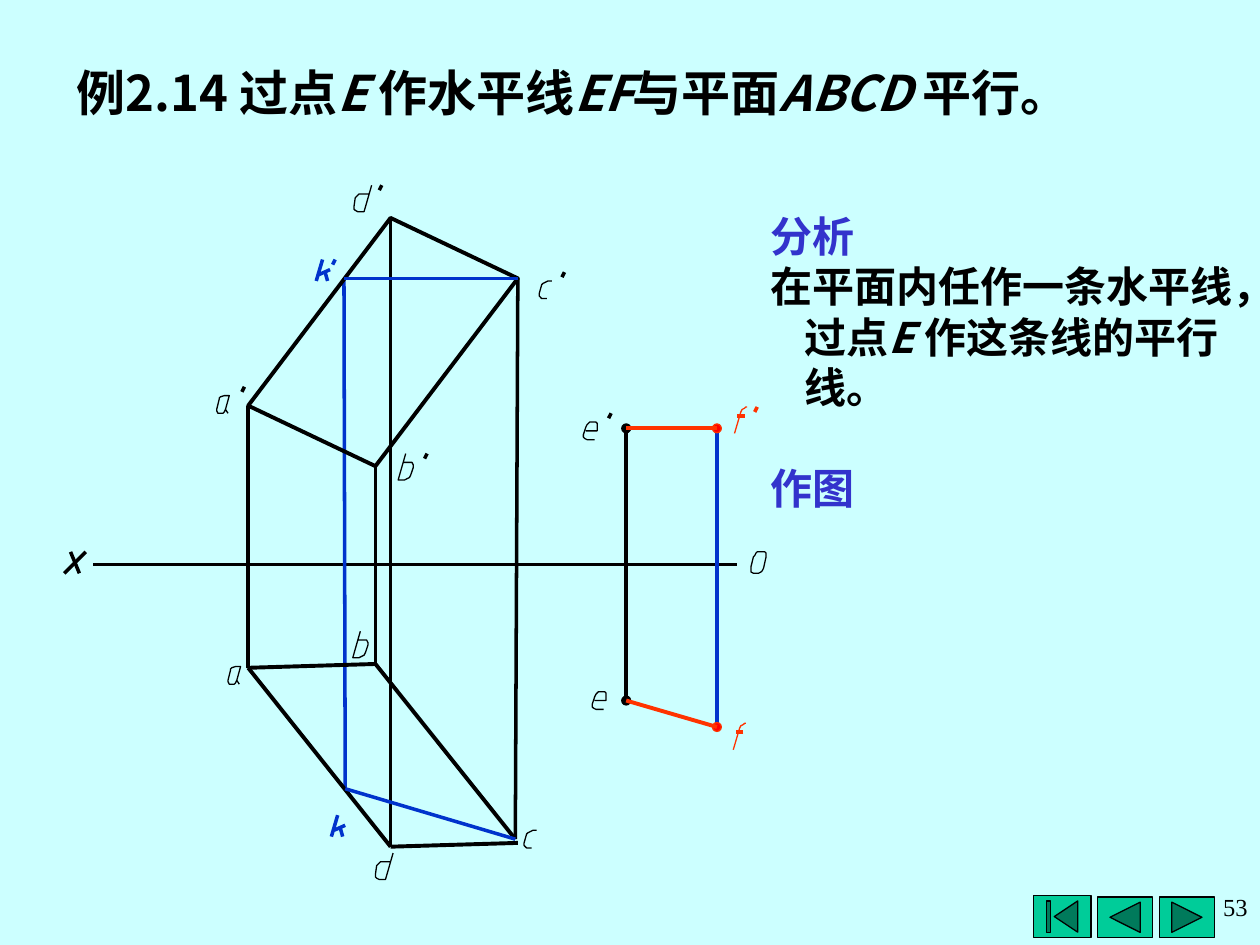
"""Build the descriptive-geometry slide on a line parallel to a plane."""
from dataclasses import dataclass

from lxml.etree import SubElement
from pptx import Presentation
from pptx.dml.color import RGBColor
from pptx.enum.shapes import MSO_CONNECTOR, MSO_SHAPE
from pptx.enum.text import MSO_ANCHOR, MSO_AUTO_SIZE, PP_ALIGN
from pptx.oxml.ns import qn
from pptx.util import Inches, Pt


@dataclass(frozen=True)
class Theme:
    background: str = "CCFFFF"
    ink: str = "000000"
    heading: str = "3333CC"
    helper_line: str = "0033CC"
    answer: str = "FF3300"
    answer_dot: str = "FF0000"
    button: str = "00CC99"
    font: str = "Noto Sans CJK SC"
    number_font: str = "Times New Roman"
    title_size: float = 28
    body_size: float = 24
    number_size: float = 14
    leading: float = 1.2
    thin: float = 0
    thick: float = 2.25
    button_line: float = 0.75


theme = Theme()
COLUMNS, ROWS = 1000, 750
deck = Presentation()
deck.slide_width, deck.slide_height = Inches(10), Inches(7.5)
GRID = deck.slide_width // COLUMNS
page = deck.slides.add_slide(deck.slide_layouts[5])
page.background.fill.solid()
page.background.fill.fore_color.rgb = RGBColor.from_string(theme.background)


def write(text, para, size=theme.body_size, color=theme.ink, font=theme.font,
          bold=True, margin=0, indent=0, before=0, align=PP_ALIGN.LEFT):
    """Fill a paragraph; parts between asterisks are italic."""
    properties = para._p.get_or_add_pPr()
    properties.set("marL", str(margin * GRID))
    properties.set("indent", str(indent * GRID))
    para.alignment = align
    para.line_spacing = Pt(round(size * theme.leading, 1))
    para.space_before = Pt(before)
    for index, part in enumerate(text.split("*")):
        span = para.add_run()
        span.text = part
        span.font.size, span.font.bold, span.font.italic = Pt(size), bold, index % 2 == 1
        span.font.color.rgb = RGBColor.from_string(color)
        span.font.name = font
        SubElement(span._r.get_or_add_rPr(), qn("a:ea")).set("typeface", font)


def stroke(points, color=theme.ink, width=theme.thin, left=0, top=0):
    """Draw a straight line through two points or an open or closed outline through more."""
    points = [(left + x, top + y) for x, y in points]
    if len(points) == 2:
        ends = [value * GRID for point in points for value in point]
        line = page.shapes.add_connector(MSO_CONNECTOR.STRAIGHT, *ends)
    else:
        builder = page.shapes.build_freeform(*points[0], scale=GRID)
        builder.add_line_segments(points[1:], close=points[0] == points[-1])
        line = builder.convert_to_shape()
        line.fill.background()
        line.shadow.inherit = False
    line.line.color.rgb = RGBColor.from_string(color)
    line.line.width = Pt(width)
    if len(points) == 2:
        SubElement(line._element.spPr, qn("a:effectLst"))


buttons = [
    (MSO_SHAPE.ACTION_BUTTON_BEGINNING, 820, 711, 46, 33),
    (MSO_SHAPE.ACTION_BUTTON_BACK_OR_PREVIOUS, 871, 712, 44, 32),
    (MSO_SHAPE.ACTION_BUTTON_FORWARD_OR_NEXT, 920, 712, 44, 32),
]
for kind, *place in buttons:
    button = page.shapes.add_shape(kind, *[value * GRID for value in place])
    button.shadow.inherit = False
    button.fill.solid()
    button.fill.fore_color.rgb = RGBColor.from_string(theme.button)
    button.line.color.rgb = RGBColor.from_string(theme.ink)
    button.line.width = Pt(theme.button_line)

title = page.shapes.title
title.left, title.top, title.width, title.height = [n * GRID for n in (51, 21, 835, 104)]
title.text_frame.word_wrap = True
title.text_frame.auto_size = MSO_AUTO_SIZE.NONE
title.text_frame.vertical_anchor = MSO_ANCHOR.MIDDLE
write("例2.14 过点*E *作水平线*EF*与平面*ABCD *平行。", title.text_frame.paragraphs[0],
      size=theme.title_size, margin=50, indent=-50)

box = page.shapes.add_textbox(*[n * GRID for n in (579, 162, 421, 250)])
box.text_frame.word_wrap = True
notes = [
    ("分析", theme.heading, 0),
    ("在平面内任作一条水平线，过点*E *作这条线的平行线。", theme.ink, 0),
    ("作图", theme.heading, theme.body_size * theme.leading),
]
for index, (text, color, before) in enumerate(notes):
    para = box.text_frame.add_paragraph() if index else box.text_frame.paragraphs[0]
    write(text, para, color=color, margin=50, indent=-27, before=before)

front = {"a": (197, 322), "b": (298, 370), "c": (411, 221), "d": (310, 173),
         "e": (497, 340), "f": (569, 340), "k": (273, 221)}
plan = {"a": (197, 530), "b": (298, 527), "c": (409, 666), "d": (310, 672),
        "e": (497, 556), "f": (569, 577), "k": (274, 626)}
stroke([(74, 448), (585, 448)])
for name in front:
    color = theme.helper_line if name in "fk" else theme.ink
    stroke([front[name], plan[name]], color)
stroke([front[name] for name in "abcda"], width=theme.thick)
for start, end in ("ab", "bc", "ad"):
    stroke([plan[start], plan[end]], width=theme.thick)
stroke([plan["d"], (411, 669)], width=theme.thick)
for view in (front, plan):
    stroke([view["k"], view["c"]], theme.helper_line)

DOT = 7
for view in (front, plan):
    for name, fill, outline in (("e", theme.ink, theme.ink), ("f", theme.answer_dot, theme.answer)):
        x, y = view[name]
        dot = page.shapes.add_shape(MSO_SHAPE.OVAL, int((x - DOT / 2) * GRID),
                                    int((y - DOT / 2) * GRID), DOT * GRID, DOT * GRID)
        dot.shadow.inherit = False
        dot.fill.solid()
        dot.fill.fore_color.rgb = RGBColor.from_string(fill)
        dot.line.color.rgb = RGBColor.from_string(outline)
        dot.line.width = Pt(theme.thin)
    stroke([view["e"], view["f"]], theme.answer, theme.thick)

letters = {
    "a": [[(9, 14), (7, 11), (10, 0), (6, 0), (3, 1), (2, 2), (2, 3), (0, 11), (0, 12),
           (1, 14), (3, 14), (5, 14), (6, 13), (7, 11)]],
    "b": [[(6, 0), (0, 21), (5, 21), (7, 20), (9, 19), (10, 17), (12, 11), (12, 9),
           (11, 7), (10, 7), (4, 7)]],
    "c": [[(10, 0), (7, 0), (5, 1), (3, 2), (2, 3), (0, 10), (0, 12), (1, 13), (2, 14), (6, 14)]],
    "d": [[(14, 0), (8, 21), (3, 21), (1, 20), (0, 19), (0, 17), (1, 10), (3, 8),
           (4, 7), (5, 7), (12, 7)]],
    "e": [[(9, 14), (3, 14), (1, 13), (0, 12), (0, 10), (2, 4), (3, 2), (5, 0), (9, 0),
           (10, 0), (11, 1), (11, 3), (11, 7), (2, 7)]],
    "f": [[(0, 21), (5, 4), (6, 2), (8, 1), (9, 0), (10, 0)], [(8, 7), (2, 7)]],
    "k": [[(0, 17), (5, 0)], [(11, 8), (2, 12)], [(7, 10), (9, 17)]],
    "X": [[(5, 0), (12, 17)], [(17, 0), (0, 17)]],
    "O": [[(4, 17), (6, 17), (8, 16), (9, 15), (10, 13), (12, 4), (12, 1), (11, 0), (9, 0),
           (5, 0), (4, 1), (3, 3), (2, 4), (0, 12), (0, 16), (2, 17), (4, 17)]],
    "'": [[(2, 0), (0, 4)]],
}
labels = [
    ("X", 51, 438), ("O", 596, 438),
    ("a", 172, 314), ("'", 192, 307), ("b", 316, 360), ("'", 337, 360),
    ("c", 428, 223), ("'", 446, 216), ("d", 281, 147), ("'", 301, 147),
    ("e", 463, 335), ("'", 483, 328), ("a", 181, 529), ("b", 280, 501),
    ("c", 416, 659), ("d", 298, 677), ("e", 470, 549),
    ("k", 251, 206, theme.helper_line), ("'", 264, 206, theme.helper_line),
    ("k", 263, 647, theme.helper_line),
    ("f", 583, 323, theme.answer), ("'", 599, 323, theme.answer), ("f", 582, 574, theme.answer),
]
for letter, left, top, *color in labels:
    for points in letters[letter]:
        stroke(points, *color, left=left, top=top)

number = page.shapes.add_textbox(*[n * GRID for n in (748, 703, 252, 47)])
number.text_frame.word_wrap = True
write("53", number.text_frame.paragraphs[0], size=theme.number_size,
      font=theme.number_font, bold=False, align=PP_ALIGN.RIGHT)

deck.save("out.pptx")
